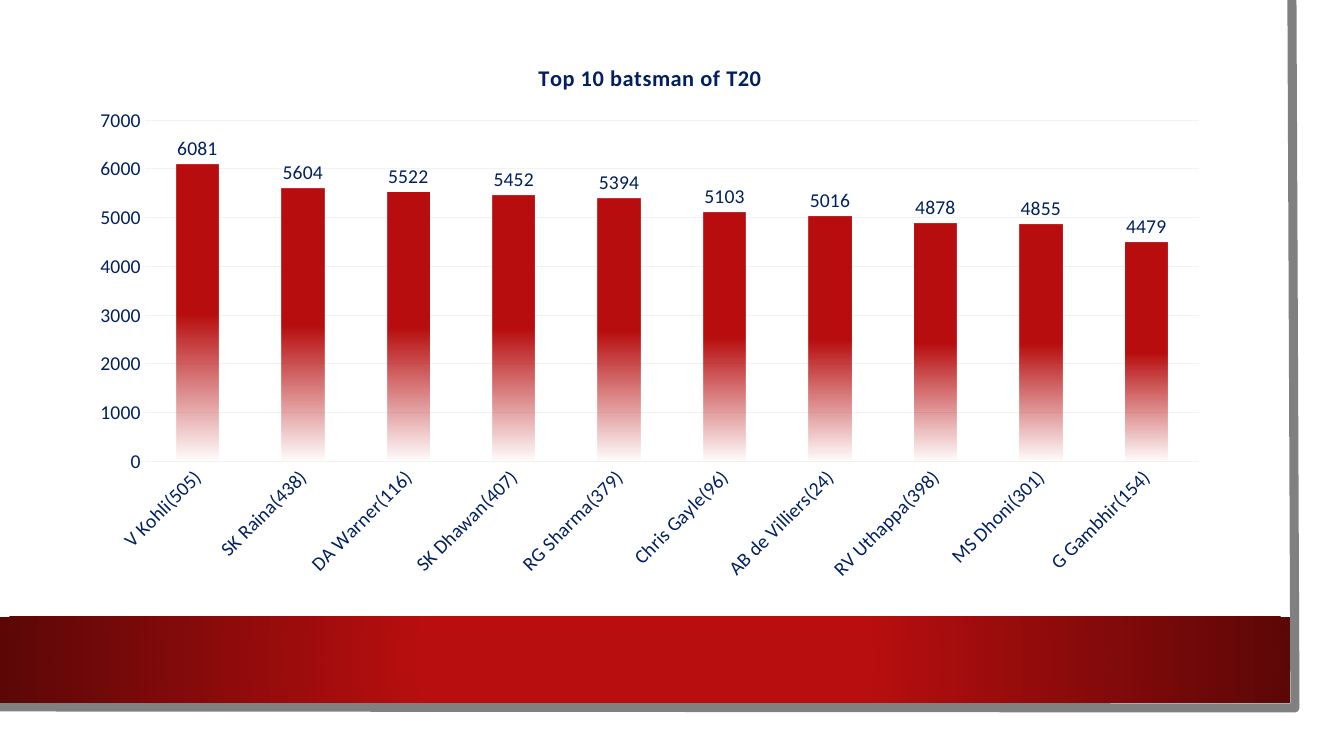
from lxml import etree
from pptx import Presentation
from pptx import util as u
from pptx.chart import data
from pptx.dml.color import RGBColor
from pptx.enum import chart as charts, shapes
from pptx.oxml import ns

PX = u.Inches(1) / 100.8
WHITE = RGBColor(0xFF, 0xFF, 0xFF)
GRAY = RGBColor(0x80, 0x80, 0x80)
GRID = RGBColor(0xF2, 0xF2, 0xF2)
NAVY = RGBColor(0x00, 0x20, 0x60)
RED = RGBColor(0xB8, 0x0E, 0x0F)
DARK_RED = RGBColor(0x5C, 0x07, 0x07)
FONT = "Calibri"

BATSMEN = {
    "V Kohli(505)": 6081,
    "SK Raina(438)": 5604,
    "DA Warner(116)": 5522,
    "SK Dhawan(407)": 5452,
    "RG Sharma(379)": 5394,
    "Chris Gayle(96)": 5103,
    "AB de Villiers(24)": 5016,
    "RV Uthappa(398)": 4878,
    "MS Dhoni(301)": 4855,
    "G Gambhir(154)": 4479,
}


def px(*lengths):
    return [u.Emu(round(length * PX)) for length in lengths]


def add_child(parent, tag, **attributes):
    return etree.SubElement(parent, ns.qn(tag), attributes)


def set_gradient(fill, stops, angle=None):
    fill.gradient()
    gradient = fill._xPr.find(ns.qn("a:gradFill"))
    for child in list(gradient):
        gradient.remove(child)
    stop_list = add_child(gradient, "a:gsLst")
    for percent, color, opacity in stops:
        stop = add_child(stop_list, "a:gs", pos=str(percent * 1000))
        shade = add_child(stop, "a:srgbClr", val=str(color))
        if opacity < 100:
            add_child(shade, "a:alpha", val=str(opacity * 1000))
    if angle is None:
        circle = add_child(gradient, "a:path", path="circle")
        sides = {side: "50000" for side in "ltrb"}
        add_child(circle, "a:fillToRect", **sides)
    else:
        add_child(gradient, "a:lin", ang=str(angle * 60000), scaled="0")


def set_font(font, size=14, color=NAVY, bold=False):
    font.name = FONT
    font.size = u.Pt(size)
    font.bold = bold
    font.color.rgb = color


def write_text(frame, words, spacing=0, **font_format):
    span = frame.paragraphs[0].add_run()
    span.text = words
    set_font(span.font, **font_format)
    span.font._element.set("spc", str(spacing))


def place_part(element, index, **places):
    for old in element.findall(ns.qn("c:layout")):
        element.remove(old)
    layout = etree.Element(ns.qn("c:layout"))
    manual = add_child(layout, "c:manualLayout")
    for name, value in places.items():
        add_child(manual, f"c:{name}", val=str(value))
    element.insert(index, layout)


def add_rectangle(page, left, top, width, height):
    box = page.shapes.add_shape(
        shapes.MSO_SHAPE.RECTANGLE, *px(left, top, width, height))
    box.shadow.inherit = False
    box.line.fill.background()
    return box


def add_frame(page, left, top, width, height):
    paper = add_rectangle(page, left, top, width, height)
    paper.fill.solid()
    paper.fill.fore_color.rgb = WHITE

    right, bottom = left + width - 25, top + height - 25
    builder = page.shapes.build_freeform(right - 3, top, scale=PX)
    builder.add_line_segments(
        [(right, bottom), (left - 3, bottom - 1)], close=False)
    edge = builder.convert_to_shape()
    edge.shadow.inherit = False
    edge.fill.background()
    edge.line.color.rgb = GRAY
    edge.line.width = u.Pt(6.5)

    band = add_rectangle(page, left, bottom - 91, width - 30, 86)
    set_gradient(band.fill, [(34, RED, 100), (100, DARK_RED, 100)])


def style_axis(axis):
    axis.major_tick_mark = charts.XL_TICK_MARK.NONE
    axis.minor_tick_mark = charts.XL_TICK_MARK.NONE
    axis.format.line.fill.background()
    set_font(axis.tick_labels.font)


def add_run_chart(page, left, top, width, height):
    runs = data.CategoryChartData()
    runs.categories = list(BATSMEN)
    runs.add_series("Series 1", list(BATSMEN.values()))
    chart = page.shapes.add_chart(
        charts.XL_CHART_TYPE.COLUMN_CLUSTERED,
        *px(left, top, width, height), runs).chart
    chart.has_legend = False
    set_font(chart.font)

    chart.has_title = True
    title = chart.chart_title
    write_text(title.text_frame, "Top 10 batsman of T20",
               size=16, bold=True, spacing=50)
    title.include_in_layout = False
    place_part(title._element, 1, xMode="edge", yMode="edge", x=0.4, y=0.04)
    place_part(chart._chartSpace.chart.plotArea, 0, layoutTarget="inner",
               xMode="edge", yMode="edge", x=0.06, y=0.15, w=0.92, h=0.615)

    style_axis(chart.category_axis)
    labels = chart.category_axis._element.find(ns.qn("c:txPr"))
    labels.find(ns.qn("a:bodyPr")).set("rot", str(-45 * 60000))

    runs_axis = chart.value_axis
    style_axis(runs_axis)
    runs_axis.minimum_scale = 0
    runs_axis.maximum_scale = 7000
    runs_axis.major_unit = 1000
    runs_axis.has_major_gridlines = True
    grid = runs_axis.major_gridlines.format.line
    grid.color.rgb = GRID
    grid.width = u.Pt(0.75)

    plot = chart.plots[0]
    plot.gap_width = 150
    plot.vary_by_categories = False
    bars = plot.series[0]
    set_gradient(bars.format.fill, [(50, RED, 100), (100, RED, 0)], angle=90)
    bars.format.line.fill.background()
    values = bars.data_labels
    values.show_value = True
    values.position = charts.XL_LABEL_POSITION.OUTSIDE_END
    set_font(values.font)


def main():
    deck = Presentation()
    deck.slide_width, deck.slide_height = px(1344, 756)
    page = deck.slides.add_slide(deck.slide_layouts[6])
    add_frame(page, 0, 0, 1320, 733)
    add_run_chart(page, 76, 37, 1146, 555)
    deck.save("out.pptx")


if __name__ == "__main__":
    main()
